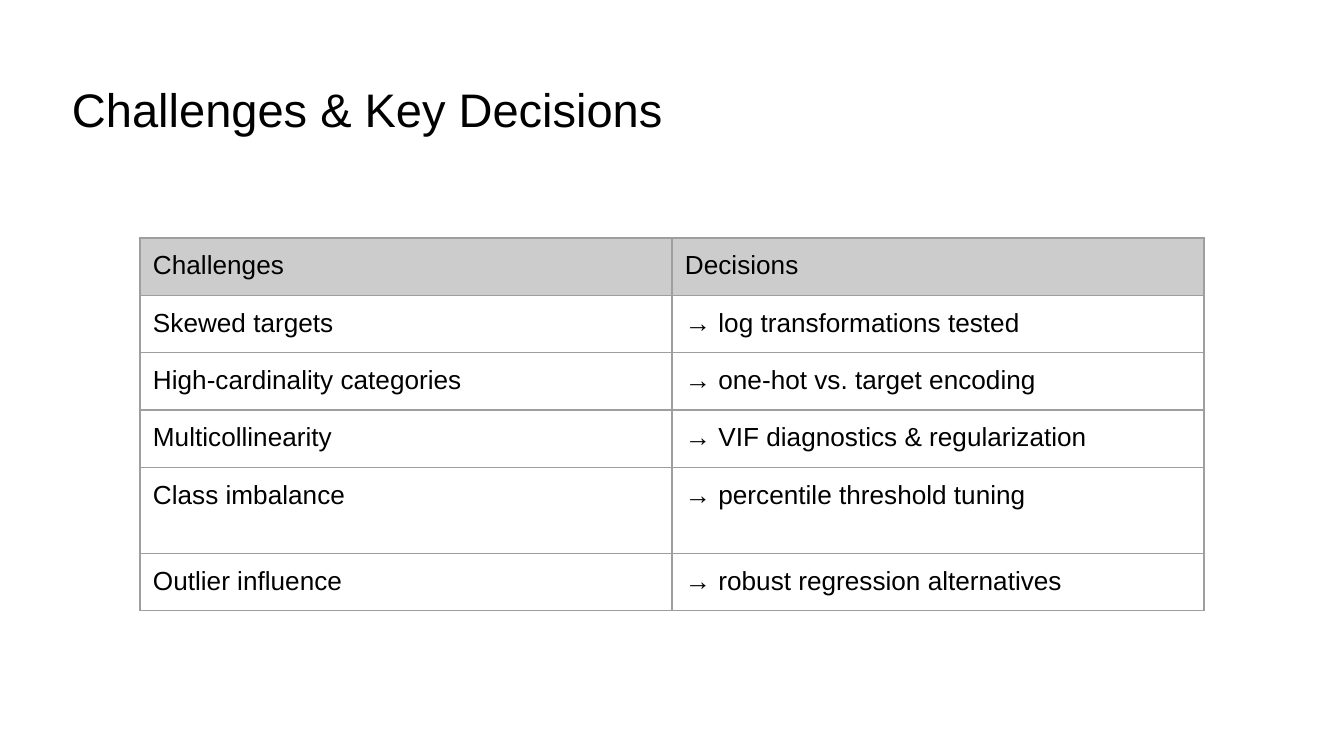
from lxml.etree import SubElement
from pptx import Presentation
from pptx.dml.color import RGBColor
from pptx.enum.text import MSO_ANCHOR as Anchor
from pptx.oxml.ns import qn
from pptx.util import Pt

SCALE = 914400 / 134.4
INSET = 13
FONT = "Arial"
INK, HEADER_FILL, BORDER = "000000", "CCCCCC", "9E9E9E"
HEADINGS = ("Challenges", "Decisions")
PAIRS = [
    ("Skewed targets", "→ log transformations tested"),
    ("High-cardinality categories", "→ one-hot vs. target encoding"),
    ("Multicollinearity", "→ VIF diagnostics & regularization"),
    ("Class imbalance", "→ percentile threshold tuning"),
    ("Outlier influence", "→ robust regression alternatives"),
]
ROW_HEIGHTS = [56, 56, 56, 56, 86, 56]


def px(length):
    """Turn pixels into EMU."""
    return round(length * SCALE)


def color(hex_code):
    """Turn a hex string into a colour."""
    return RGBColor.from_string(hex_code)


def write(frame, words, size):
    """Add one run of words to the first paragraph of a text frame."""
    run = frame.paragraphs[0].add_run()
    run.text = words
    run.font.name = FONT
    run.font.size = Pt(size)
    run.font.color.rgb = color(INK)


def set_insets(holder, left=INSET):
    """Set the inner margins of a cell or text frame."""
    holder.margin_left = px(left)
    holder.margin_right = holder.margin_top = holder.margin_bottom = px(INSET)


def set_borders(cell):
    """Draw a thin line on all four sides of a cell."""
    properties = cell._tc.get_or_add_tcPr()
    for side in ("lnL", "lnR", "lnT", "lnB"):
        line = SubElement(properties, qn(f"a:{side}"), w=str(Pt(0.75)))
        fill = SubElement(line, qn("a:solidFill"))
        SubElement(fill, qn("a:srgbClr"), val=BORDER)


def add_heading(slide, left, top, width, height):
    """Place the slide heading in its box."""
    heading = slide.shapes.add_textbox(px(left), px(top), px(width), px(height))
    frame = heading.text_frame
    frame.word_wrap = True
    frame.vertical_anchor = Anchor.MIDDLE
    set_insets(frame, left=INSET * 2)
    write(frame, "Challenges & Key Decisions", 25.2)


def add_decisions(slide, left, top, width):
    """Place the table of challenges and decisions."""
    rows = [HEADINGS, *PAIRS]
    decisions = slide.shapes.add_table(
        len(rows), len(HEADINGS), px(left), px(top), px(width), px(sum(ROW_HEIGHTS))
    ).table
    decisions.first_row = decisions.horz_banding = False
    for column in decisions.columns:
        column.width = px(width / len(HEADINGS))
    for index, (entries, height) in enumerate(zip(rows, ROW_HEIGHTS)):
        decisions.rows[index].height = px(height)
        for cell, words in zip(decisions.rows[index].cells, entries):
            set_insets(cell)
            set_borders(cell)
            if index == 0:
                cell.fill.solid()
                cell.fill.fore_color.rgb = color(HEADER_FILL)
            else:
                cell.fill.background()
            write(cell.text_frame, words, 14)


def main():
    """Build and save the slide."""
    deck = Presentation()
    deck.slide_width, deck.slide_height = px(1344), px(756)
    slide = deck.slides.add_slide(deck.slide_layouts[6])
    add_heading(slide, 46, 66, 1252, 85)
    add_decisions(slide, 140, 238, 1064)
    deck.save("out.pptx")


if __name__ == "__main__":
    main()
